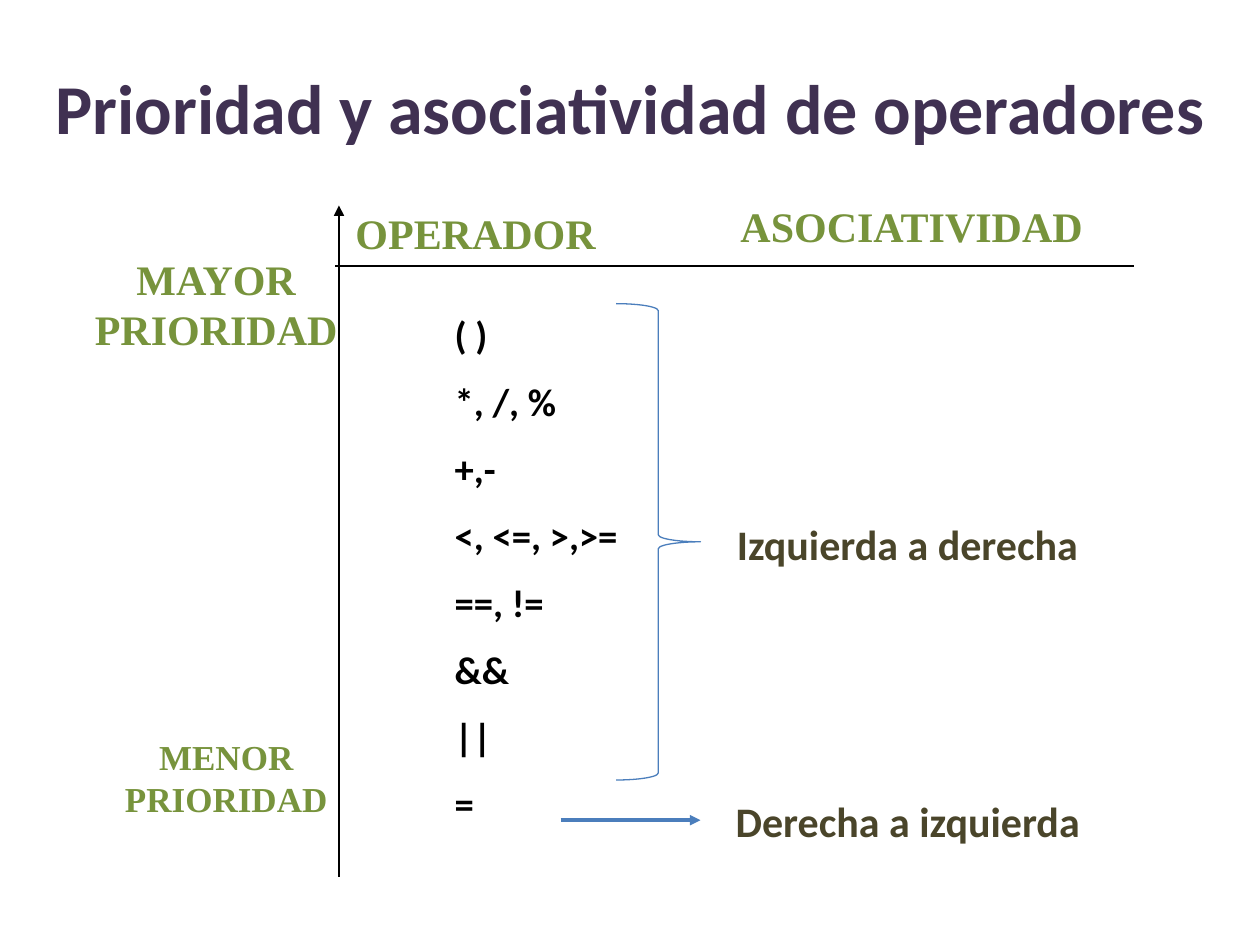
from dataclasses import dataclass

import pptx
import pptx.dml.color
import pptx.enum.dml
import pptx.enum.shapes
import pptx.enum.text
import pptx.oxml.ns
import pptx.slide
import pptx.util
from lxml import etree

Pt = pptx.util.Pt
ALIGN = pptx.enum.text.PP_ALIGN
ANCHOR = pptx.enum.text.MSO_ANCHOR

COLOURS = {
    "title": "403152",
    "heading": "77933C",
    "operator": "000000",
    "direction": "4A452A",
    "axis": "000000",
    "accent": "4B7EBC",
}
HEADING_FONT = "Times New Roman"
BODY_FONT = "Calibri"


@dataclass
class Label:
    lines: list[str]
    left: float
    top: float
    width: float
    height: float
    colour: str
    size: float = 24
    font: str = BODY_FONT
    align: ALIGN = ALIGN.LEFT
    anchor: ANCHOR = ANCHOR.TOP
    wrap: bool = True
    line_spacing: float | pptx.util.Length = 1.0
    space_before: float = 0


@dataclass
class Line:
    start: tuple[float, float]
    end: tuple[float, float]
    colour: str
    width: float
    arrow: bool = False


def heading(lines: list[str], left: float, top: float, width: float,
            height: float, size: float = 24) -> Label:
    return Label(lines, left, top, width, height, "heading", size,
                 HEADING_FONT, ALIGN.CENTER, wrap=False)


def direction(text: str, left: float, top: float) -> Label:
    return Label([text], left, top, 219, 50.4, "direction", line_spacing=Pt(40))


OPERATORS = ["( )", "*, /, %", "+,-", "<, <=, >,>=", "==, !=", "&&", "||", "="]

LABELS = [
    Label(["Prioridad y asociatividad de operadores"], 0, 15.8, 720, 90, "title",
          40, align=ALIGN.CENTER, anchor=ANCHOR.MIDDLE),
    Label(OPERATORS, 252.7, 166.3, 198, 336.2, "operator", 22.1,
          line_spacing=1.3, space_before=3.8),
    heading(["MAYOR", "PRIORIDAD"], 46.1, 141.1, 154.8, 65.5),
    heading(["MENOR", "PRIORIDAD"], 63.4, 416.9, 131.8, 55.4, 20),
    heading(["OPERADOR"], 195.1, 115.2, 153.4, 36),
    heading(["ASOCIATIVIDAD"], 414.7, 110.9, 212.4, 36),
    direction("Izquierda a derecha", 414, 281.5),
    direction("Derecha a izquierda", 413.3, 439.9),
]

LINES = [
    Line((193.7, 501.1), (193.7, 117.4), "axis", 1, arrow=True),
    Line((191.5, 151.9), (648, 151.9), "axis", 1),
    Line((320.4, 468.7), (400.3, 468.7), "accent", 2, arrow=True),
]


def rgb(name: str) -> pptx.dml.color.RGBColor:
    return pptx.dml.color.RGBColor.from_string(COLOURS[name])


def set_values(target: object, values: dict) -> None:
    for name, value in values.items():
        setattr(target, name, value)


def add_label(slide: pptx.slide.Slide, label: Label) -> None:
    box = slide.shapes.add_textbox(
        Pt(label.left), Pt(label.top), Pt(label.width), Pt(label.height))
    frame = box.text_frame
    set_values(frame, {"word_wrap": label.wrap, "vertical_anchor": label.anchor})
    for index, text in enumerate(label.lines):
        para = frame.add_paragraph() if index else frame.paragraphs[0]
        set_values(para, {
            "alignment": label.align,
            "line_spacing": label.line_spacing,
            "space_before": Pt(label.space_before if index else 0),
        })
        span = para.add_run()
        span.text = text
        set_values(span.font, {"name": label.font, "size": Pt(label.size), "bold": True})
        span.font.color.rgb = rgb(label.colour)


def add_line(slide: pptx.slide.Slide, line: Line) -> None:
    connector = slide.shapes.add_connector(
        pptx.enum.shapes.MSO_CONNECTOR.STRAIGHT,
        *(Pt(value) for value in (*line.start, *line.end)))
    connector.line.color.rgb = rgb(line.colour)
    connector.line.width = Pt(line.width)
    qualified = pptx.oxml.ns.qn
    properties = connector.line._get_or_add_ln()
    if line.arrow:
        etree.SubElement(properties, qualified("a:tailEnd"), type="triangle")
    etree.SubElement(properties.getparent(), qualified("a:effectLst"))


def add_brace(slide: pptx.slide.Slide) -> None:
    """Group the operators that associate from left to right."""
    brace = slide.shapes.add_shape(
        pptx.enum.shapes.MSO_SHAPE.RIGHT_BRACE,
        Pt(352.1), Pt(173.5), Pt(48.2), Pt(272.2))
    brace.shadow.inherit = False
    brace.fill.background()
    brace.line.color.rgb = rgb("accent")
    brace.line.width = Pt(0.75)


def main() -> None:
    deck = pptx.Presentation()
    set_values(deck, {"slide_width": Pt(720), "slide_height": Pt(540)})
    page = deck.slides.add_slide(deck.slide_layouts[6])
    for label in LABELS:
        add_label(page, label)
    for line in LINES:
        add_line(page, line)
    add_brace(page)
    deck.save("out.pptx")


if __name__ == "__main__":
    main()
